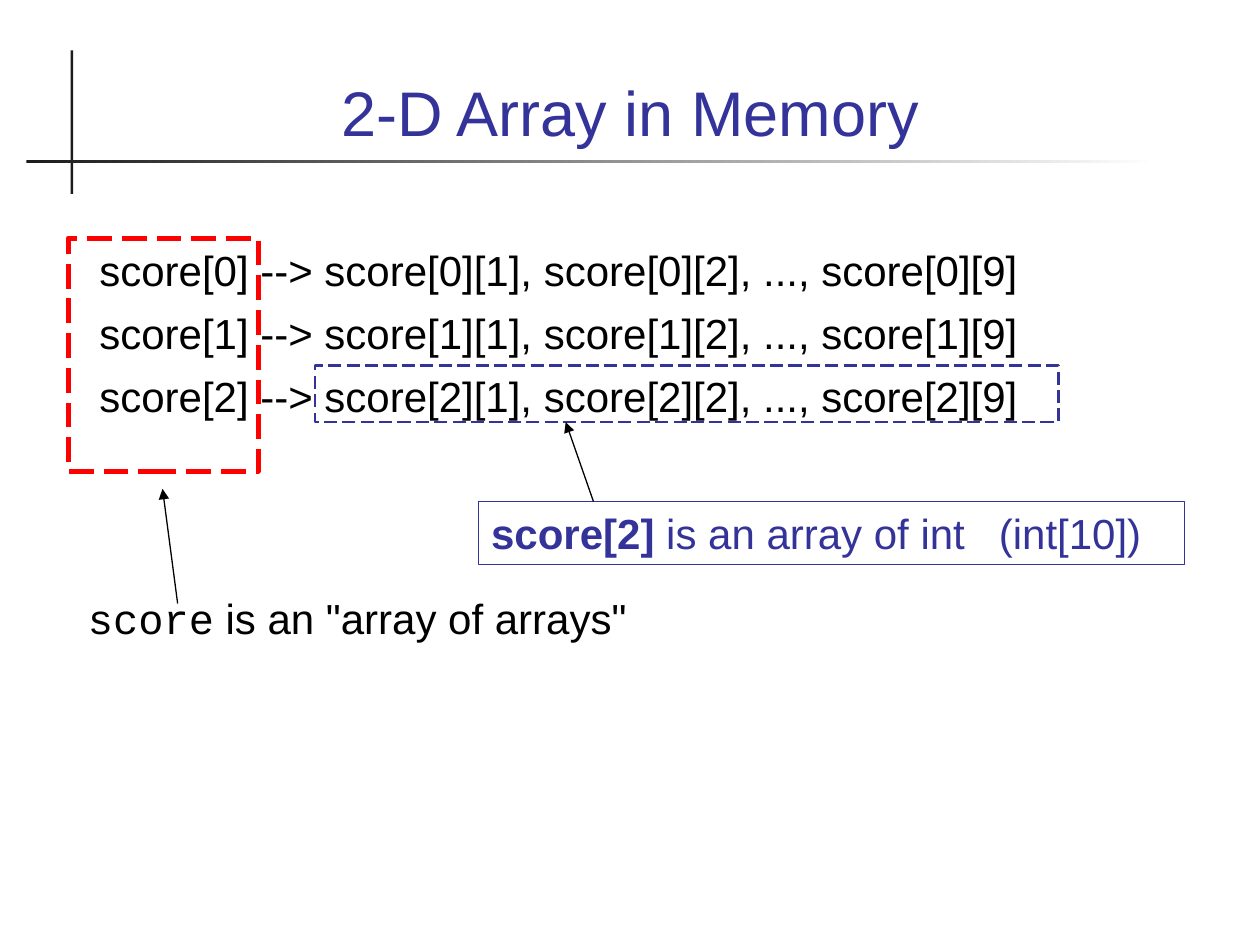
from lxml.etree import SubElement
from pptx import Presentation
from pptx.dml.color import RGBColor
from pptx.enum.shapes import MSO_CONNECTOR, MSO_SHAPE
from pptx.enum.text import MSO_ANCHOR, PP_ALIGN
from pptx.oxml.ns import qn
from pptx.util import Inches, Pt

# The slide is a grid of 100 columns and 75 rows
COLUMNS, ROWS = 100, 75
CELL = Inches(0.1)
BLACK, BLUE, RED, INK, WHITE = "000000", "333399", "FF0000", "1C1C1C", "FFFFFF"
BODY = {"name": "Arial", "size": Pt(24), "bold": False}


def color(value):
    return RGBColor.from_string(value)


def cells(*lengths):
    return [round(length * CELL) for length in lengths]


def add_run(paragraph, text, font_color, **changes):
    run = paragraph.add_run()
    run.text = text
    for name, value in {**BODY, **changes}.items():
        setattr(run.font, name, value)
    run.font.color.rgb = color(font_color)


def add_text_box(slide, box):
    frame = slide.shapes.add_textbox(*cells(*box)).text_frame
    frame.word_wrap = True
    return frame


def add_bar(slide, box):
    bar = slide.shapes.add_shape(MSO_SHAPE.RECTANGLE, *cells(*box))
    bar.shadow.inherit = False
    bar.line.fill.background()
    return bar


def add_frame(slide, box, line_color, width, dashed=True):
    shape = slide.shapes.add_shape(MSO_SHAPE.RECTANGLE, *cells(*box))
    shape.shadow.inherit = False
    shape.fill.background()
    shape.line.color.rgb = color(line_color)
    shape.line.width = Pt(width)
    if dashed:
        dashes = SubElement(shape.line._get_or_add_ln(), qn("a:custDash"))
        SubElement(dashes, qn("a:ds"), d="500000", sp="200000")
    return shape


def add_arrow(slide, start, end):
    arrow = slide.shapes.add_connector(MSO_CONNECTOR.STRAIGHT, *cells(*start, *end))
    arrow.line.color.rgb = color(BLACK)
    arrow.line.width = Pt(0.75)
    SubElement(arrow.line._get_or_add_ln(), qn("a:tailEnd"), type="triangle")
    SubElement(arrow._element.spPr, qn("a:effectLst"))


def add_crossed_rules(slide, box):
    left, top, width, height = box
    upright = add_bar(slide, (left + 3.5, top, 0.2, height))
    upright.fill.solid()
    upright.fill.fore_color.rgb = color(INK)

    fading = add_bar(slide, (left, top + 8.7, width, 0.2))
    fading.fill.gradient()
    fading.fill.gradient_angle = 0
    for stop, shade in zip(fading.fill.gradient_stops, (INK, WHITE)):
        stop.color.rgb = color(shade)


def add_title(slide, box):
    title = slide.shapes.title
    title.left, title.top, title.width, title.height = cells(*box)
    frame = title.text_frame
    frame.vertical_anchor = MSO_ANCHOR.BOTTOM
    paragraph = frame.paragraphs[0]
    paragraph.alignment = PP_ALIGN.CENTER
    add_run(paragraph, "2-D Array in Memory", BLUE, size=Pt(36))


def add_array_rows(slide, box):
    left, top, width, height = box
    frame = add_text_box(slide, box)
    for row in range(3):
        paragraph = frame.paragraphs[0] if row == 0 else frame.add_paragraph()
        if row:
            paragraph.space_before = Pt(7.2)
        items = ", ".join(f"score[{row}][{column}]" for column in (1, 2))
        add_run(paragraph, f"score[{row}] --> {items}, ..., score[{row}][9]", BLACK)

    # Dashed frames: the row pointers, and the last row
    add_frame(slide, (left - 1.5, top, 15.1, 18.5), RED, 2.83)
    add_frame(slide, (left + 18.1, top + 10.1, 59, 4.5), BLUE, 1.5)


def add_row_note(slide, box):
    note = add_frame(slide, box, BLUE, 0.75, dashed=False)
    frame = note.text_frame
    frame.word_wrap = True
    frame.vertical_anchor = MSO_ANCHOR.TOP
    paragraph = frame.paragraphs[0]
    paragraph.alignment = PP_ALIGN.LEFT
    stops = SubElement(paragraph._p.get_or_add_pPr(), qn("a:tabLst"))
    SubElement(stops, qn("a:tab"), pos=str(Inches(4.03)), algn="l")
    add_run(paragraph, "score[2]", BLUE, bold=True)
    add_run(paragraph, " is an array of int\t(int[10])", BLUE)
    add_arrow(slide, (box[0] + 9.1, box[1]), (box[0] + 6.9, 33.5))


def add_array_note(slide, box):
    paragraph = add_text_box(slide, box).paragraphs[0]
    add_run(paragraph, "score", BLACK, name="Courier New")
    add_run(paragraph, ' is an "array of arrays"', BLACK)
    add_arrow(slide, (box[0] + 8.1, box[1] + 1.4), (box[0] + 6.9, 38.8))


def main():
    presentation = Presentation()
    presentation.slide_width = COLUMNS * CELL
    presentation.slide_height = ROWS * CELL
    slide = presentation.slides.add_slide(presentation.slide_layouts[5])

    add_crossed_rules(slide, (2.1, 4, 89.9, 11.4))
    add_title(slide, (6.7, 2.8, 86.6, 9.5))
    add_array_rows(slide, (6.9, 18.9, 86.4, 15.9))
    add_row_note(slide, (38, 39.8, 56, 5))
    add_array_note(slide, (6, 46.5, 64, 7.3))
    presentation.save("out.pptx")


if __name__ == "__main__":
    main()
